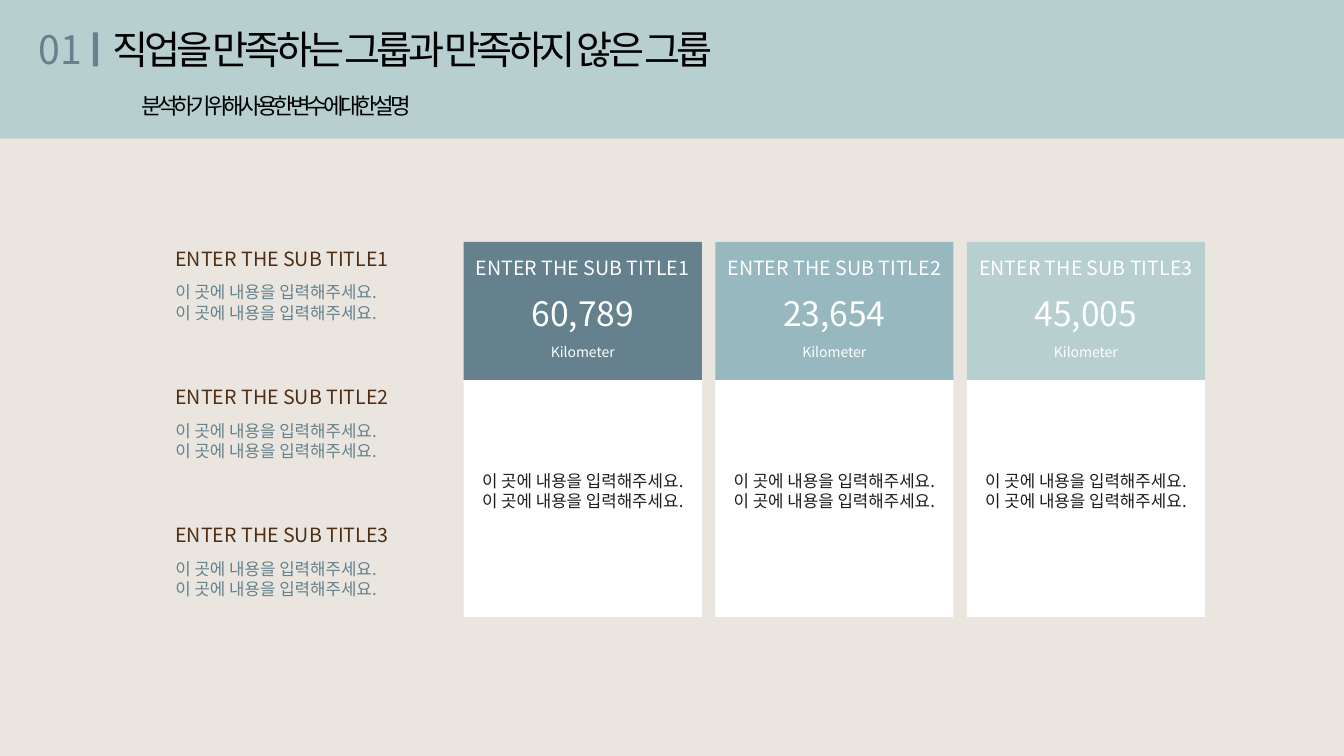
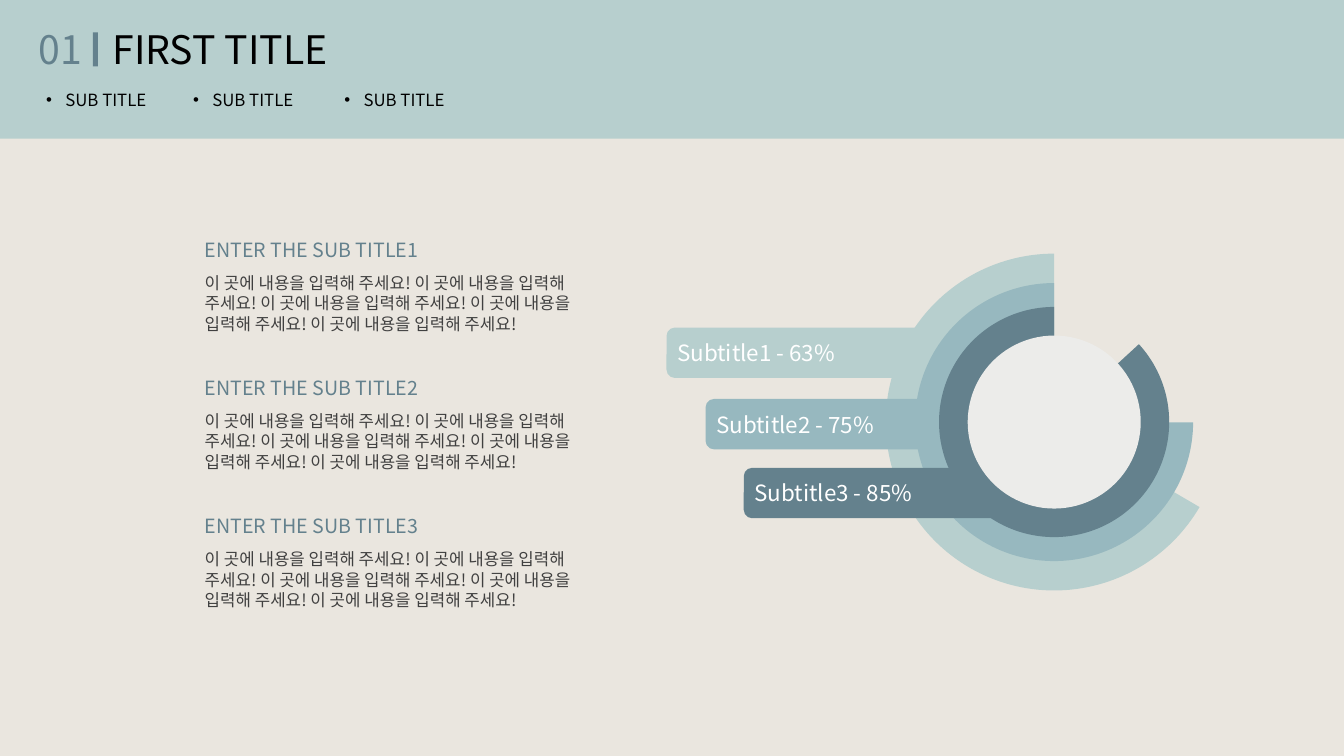
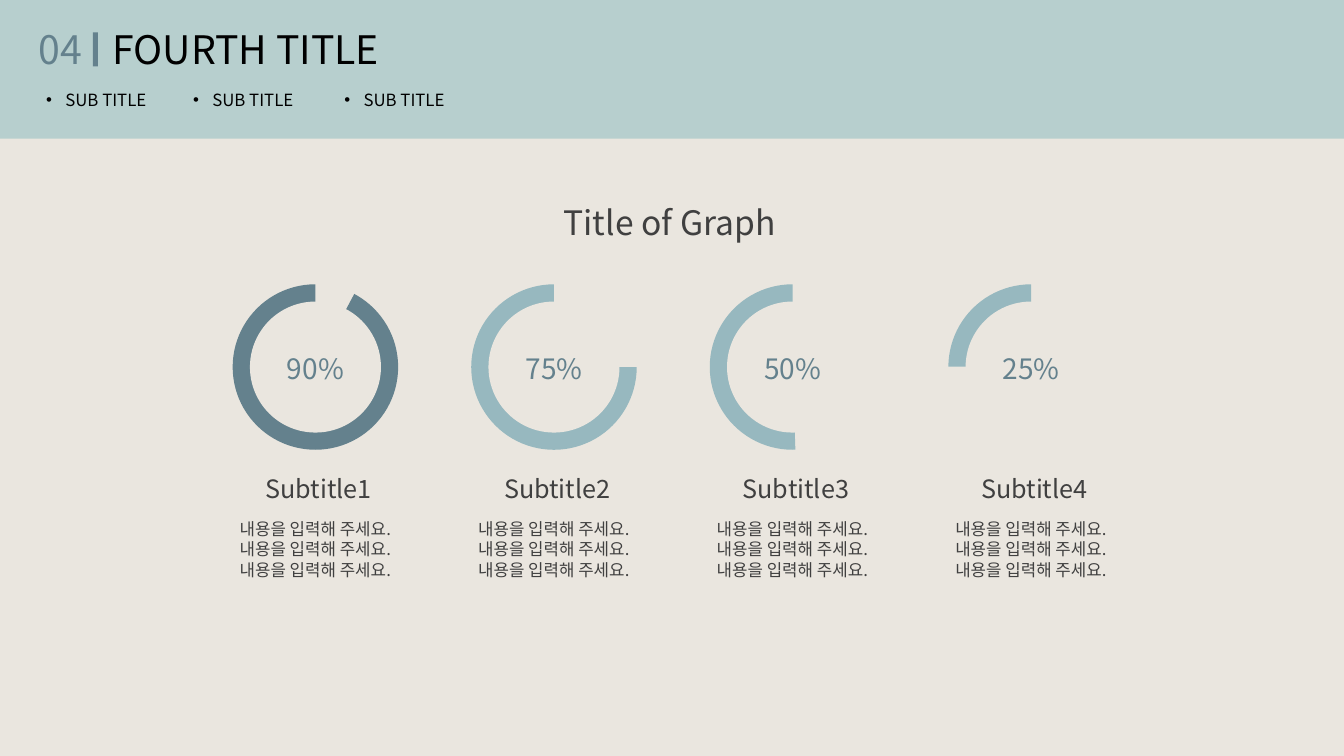
"""Build a three-slide deck: comparison cards, layered rings and percentage rings."""
from dataclasses import dataclass

import lxml.etree
import pptx
import pptx.dml.color
import pptx.enum.shapes
import pptx.enum.text
import pptx.oxml.ns
import pptx.util

SHAPES = pptx.enum.shapes.MSO_SHAPE
ALIGN = pptx.enum.text.PP_ALIGN
COMPARISON_LAYOUT = 4  # one title and four body placeholders


@dataclass(frozen=True)
class Theme:
    """Colours, font and type sizes of the deck."""
    font: str = "Noto Sans CJK KR"
    paper: str = "EAE6DF"
    mist: str = "B7CFCE"
    sky: str = "97B8BF"
    slate: str = "64818D"
    brown: str = "4F2E16"
    black: str = "000000"
    ink: str = "1D1D1D"
    gray: str = "404040"
    white: str = "FFFFFF"
    disc: str = "ECECEA"
    title: int = 28
    figure: int = 24
    percent: int = 20
    caption: int = 18
    label: int = 16
    heading: int = 14
    body: int = 12
    unit: int = 10


THEME = Theme()
WIDTH, HEIGHT = pptx.util.Inches(13.33), pptx.util.Inches(7.5)
COLUMNS, ROWS = 160, 90
LIST_PITCH = 16.44  # rows from one list entry to the next


def grid(left, top, width, height):
    """Turn grid columns and rows into slide lengths."""
    column, row = WIDTH / COLUMNS, HEIGHT / ROWS
    return round(left * column), round(top * row), round(width * column), round(height * row)


def rgb(color):
    """Return the colour object of a hex string."""
    return pptx.dml.color.RGBColor.from_string(color)


def add_xml(parent, tag, **attributes):
    """Append a DrawingML element."""
    return lxml.etree.SubElement(parent, pptx.oxml.ns.qn(tag), attributes)


def write(box, text, size=THEME.body, color=THEME.gray, align=ALIGN.LEFT,
          tracking=None, line_spacing=None, bullet=None):
    """Fill a box with formatted text, one paragraph a line."""
    frame = box.text_frame
    frame.word_wrap = True
    frame.auto_size = pptx.enum.text.MSO_AUTO_SIZE.SHAPE_TO_FIT_TEXT
    frame.vertical_anchor = pptx.enum.text.MSO_ANCHOR.TOP
    for index, line in enumerate(text.split("\n")):
        para = frame.add_paragraph() if index else frame.paragraphs[0]
        para.alignment = align
        para.space_before = pptx.util.Pt(0)
        if line_spacing:
            para.line_spacing = line_spacing
        properties = para._p.get_or_add_pPr()
        indent = pptx.util.Inches(0.19) if bullet else 0
        properties.set("marL", str(indent))
        properties.set("indent", str(-indent))
        if bullet:
            add_xml(properties, "a:buChar", char=bullet)
        else:
            add_xml(properties, "a:buNone")
        span = para.add_run()
        span.text = line
        span.font.size = pptx.util.Pt(size)
        span.font.bold = False
        span.font.color.rgb = rgb(color)
        span.font.name = THEME.font
        run_properties = span._r.get_or_add_rPr()
        add_xml(run_properties, "a:ea", typeface=THEME.font)
        if tracking:
            run_properties.set("spc", str(tracking * 100))


def add_text(slide, area, text, **style):
    """Add a text box on a grid area."""
    write(slide.shapes.add_textbox(*grid(*area)), text, **style)


def fill_placeholder(holder, area, text, **style):
    """Move a placeholder to a grid area and fill it."""
    holder.left, holder.top, holder.width, holder.height = grid(*area)
    write(holder, text, **style)


def add_block(slide, area, color, kind=SHAPES.RECTANGLE):
    """Add a flat shape without outline."""
    block = slide.shapes.add_shape(kind, *grid(*area))
    block.shadow.inherit = False
    block.fill.solid()
    block.fill.fore_color.rgb = rgb(color)
    block.line.fill.background()
    return block


def add_disc(slide, center, diameter, color, start=None):
    """Add a disc, or a pie running from a start angle to twelve o'clock."""
    x, y = center
    area = (x - diameter / 2, y - diameter / 2, diameter, diameter)
    if start is None:
        add_block(slide, area, color, SHAPES.OVAL)
        return
    pie = add_block(slide, area, color, SHAPES.PIE)
    for index, degrees in enumerate((start, 270)):
        pie.adjustments[index] = degrees * 0.6


def add_slide(deck, number, title, title_width=35.4):
    """Add a slide with its header band; return it and its body placeholders."""
    slide = deck.slides.add_slide(deck.slide_layouts[COMPARISON_LAYOUT])
    band = add_block(slide, (0, 0, COLUMNS, 16.5), THEME.mist)
    slide.shapes._spTree.insert(2, band._element)
    add_text(slide, (3.4, 2.4, 8.9, 6.9), number, size=THEME.title, color=THEME.slate)
    fill_placeholder(slide.shapes.title, (12.2, 2.4, title_width, 6.9), title,
                     size=THEME.title, color=THEME.black,
                     tracking=None if title.isascii() else -3)
    add_block(slide, (11.05, 3.85, 0.6, 4.05), THEME.slate)
    return slide, list(slide.placeholders)[1:]


def drop(holders):
    """Remove unused placeholders."""
    for holder in holders:
        holder._element.getparent().remove(holder._element)


def fill_bullets(holders):
    """Set the row of bulleted subtitles under the title."""
    lefts = (4.3, 21.8, 39.8)
    for holder, left in zip(holders, lefts):
        fill_placeholder(holder, (left, 10.1, 23.4, 3.6), "SUB TITLE",
                         color=THEME.black, bullet="•")
    drop(holders[len(lefts):])


def add_entries(slide, left, top, body, body_size, heading_color, body_color):
    """Add three headings, each with a text below it."""
    for index in range(3):
        row = top + index * LIST_PITCH
        add_text(slide, (left, row, 28.4, 4.1), f"ENTER THE SUB TITLE{index + 1}",
                 size=THEME.heading, color=heading_color)
        add_text(slide, (left, row + 4.2, *body_size), body, color=body_color)


def add_card(slide, left, number, figure, color, body):
    """Add a card with a coloured head and a white body."""
    width = 28.35
    add_block(slide, (left, 28.8, width, 16.45), color)
    add_block(slide, (left, 45.25, width, 28.2), THEME.white)
    lines = ((29.9, 4.1, f"ENTER THE SUB TITLE{number}", THEME.heading, THEME.white),
             (34.3, 6, figure, THEME.figure, THEME.white),
             (40.3, 3.2, "Kilometer", THEME.unit, THEME.white),
             (55.4, 6, body, THEME.body, THEME.ink))
    for top, height, text, size, text_color in lines:
        add_text(slide, (left, top, width, height), text, size=size,
                 color=text_color, align=ALIGN.CENTER)


def build_groups(deck):
    """Slide 1: entries beside three figure cards."""
    slide, holders = add_slide(deck, "01", "직업을 만족하는 그룹과 만족하지 않은 그룹", 91)
    fill_placeholder(holders[0], (15.6, 7.2, 80, 6.5), "분석하기 위해 사용한 변수에 대한 설명",
                     size=THEME.label, color=THEME.black, tracking=-3, line_spacing=2.0)
    drop(holders[1:])
    body = " ".join(["이 곳에 내용을 입력해주세요."] * 2)
    add_entries(slide, 19.7, 28.8, body, (28.4, 6), THEME.brown, THEME.slate)
    cards = (("60,789", THEME.slate), ("23,654", THEME.sky), ("45,005", THEME.mist))
    for index, (figure, color) in enumerate(cards):
        add_card(slide, 55.2 + index * 29.95, index + 1, figure, color, body)


def build_layers(deck):
    """Slide 2: entries beside three layered rings with tabs."""
    slide, holders = add_slide(deck, "01", "FIRST TITLE")
    fill_bullets(holders)
    body = " ".join(["이 곳에 내용을 입력해 주세요!"] * 5)
    add_entries(slide, 23.2, 27.7, body, (47.4, 8.5), THEME.slate, THEME.gray)
    center = (125.5, 50.25)
    layers = ((79.35, 39, 40.1, 30.32, THEME.mist, "Subtitle1 - 63%"),
              (84, 47.5, 33.1, 0.17, THEME.sky, "Subtitle2 - 75%"),
              (88.55, 55.7, 27.4, 317.44, THEME.slate, "Subtitle3 - 85%"))
    for left, top, diameter, start, color, label in layers:
        add_block(slide, (left, top, 32.4, 6), color, SHAPES.ROUNDED_RECTANGLE)
        add_disc(slide, center, diameter, color, start)
        add_text(slide, (left + 0.1, top + 0.8, 26.9, 4.4), label,
                 size=THEME.label, color=THEME.white)
    add_disc(slide, center, 20.6, THEME.disc)


def build_percentages(deck):
    """Slide 3: four percentage rings with captions."""
    slide, holders = add_slide(deck, "04", "FOURTH TITLE")
    fill_bullets(holders)
    add_text(slide, (65.4, 23.4, 28.6, 6), "Title of Graph",
             size=THEME.figure, align=ALIGN.CENTER)
    sentence = "내용을 입력해 주세요."
    rings = (("90%", 297.99, THEME.slate), ("75%", 0.11, THEME.sky),
             ("50%", 88.02, THEME.sky), ("25%", 180.29, THEME.sky))
    for index, (percent, start, color) in enumerate(rings):
        x, y = 37.55 + index * 28.4, 43.7
        add_disc(slide, (x, y), 19.7, color, start)
        add_disc(slide, (x, y), 15.6, THEME.paper)
        add_text(slide, (x - 6.4, 41.2, 12.8, 5.3), percent,
                 size=THEME.percent, color=THEME.slate, align=ALIGN.CENTER)
        middle = x + 0.4
        add_text(slide, (middle - 9.05, 55.8, 18.1, 4.8), f"Subtitle{index + 1}",
                 size=THEME.caption, align=ALIGN.CENTER)
        add_text(slide, (middle - 10.6, 61.2, 21.2, 8.5),
                 f"{sentence} {sentence}\n{sentence}")


def main():
    """Build and save the deck."""
    deck = pptx.Presentation()
    deck.slide_width, deck.slide_height = WIDTH, HEIGHT
    backdrop = deck.slide_master.background.fill
    backdrop.solid()
    backdrop.fore_color.rgb = rgb(THEME.paper)
    build_groups(deck)
    build_layers(deck)
    build_percentages(deck)
    deck.save("out.pptx")


main()
